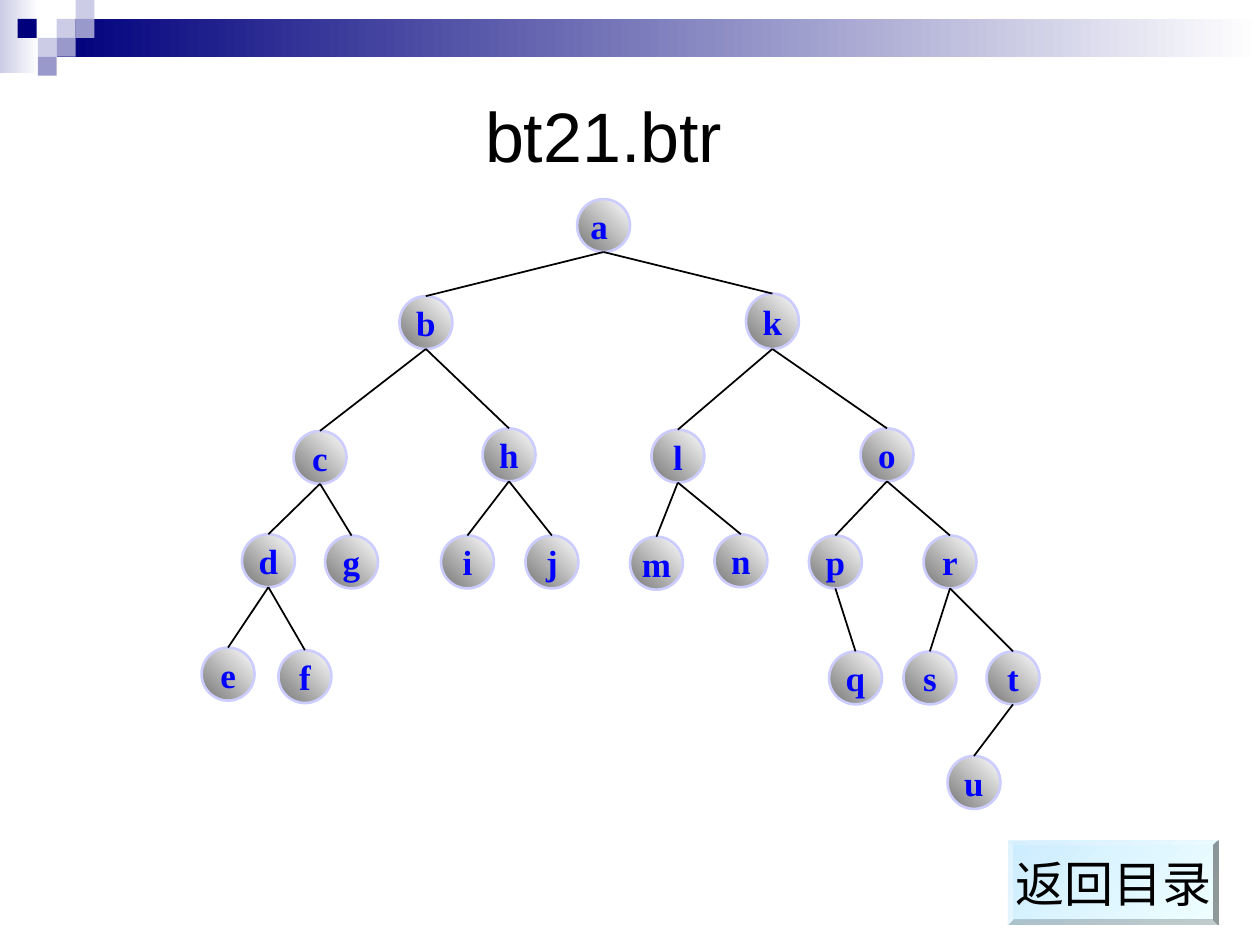
from dataclasses import dataclass

from lxml.etree import SubElement
from pptx import Presentation
from pptx.dml.color import RGBColor
from pptx.enum.shapes import MSO_CONNECTOR, MSO_SHAPE
from pptx.enum.text import MSO_ANCHOR, PP_ALIGN
from pptx.oxml.ns import qn
from pptx.shapes.autoshape import Shape
from pptx.slide import Slide
from pptx.text.text import TextFrame
from pptx.util import Inches, Pt

NODE_SIZE = 0.42
TILE_SIZE = 0.15
NAVY, LAVENDER, PERIWINKLE = "00007D", "CCCCE6", "9999CC"


@dataclass(frozen=True)
class Tile:
    left: float
    top: float
    color: str


@dataclass(frozen=True)
class Node:
    label: str
    left: float
    top: float
    parent: str = ""
    height: float = NODE_SIZE

    @property
    def center(self) -> float:
        return self.left + NODE_SIZE / 2

    @property
    def bottom(self) -> float:
        return self.top + self.height


TILES = [
    Tile(0.45, 0.15, LAVENDER),
    Tile(0.6, 0, LAVENDER),
    Tile(0.6, 0.15, PERIWINKLE),
    Tile(0.3, 0.3, LAVENDER),
    Tile(0.14, 0.15, NAVY),
    Tile(0.45, 0.3, PERIWINKLE),
    Tile(0.3, 0.45, PERIWINKLE),
]

NODES = [
    Node("a ", 4.58, 1.58),
    Node("b", 3.17, 2.35, "a "),
    Node("k", 5.92, 2.33, "a ", 0.44),
    Node("c", 2.33, 3.42, "b"),
    Node("h", 3.83, 3.4, "b"),
    Node("l", 5.17, 3.41, "k"),
    Node("o", 6.83, 3.4, "k"),
    Node("d", 1.92, 4.24, "c"),
    Node("g", 2.58, 4.25, "c"),
    Node("i", 3.5, 4.25, "h"),
    Node("j", 4.17, 4.25, "h"),
    Node("m", 5, 4.26, "l"),
    Node("n", 5.67, 4.24, "l"),
    Node("p", 6.42, 4.25, "o"),
    Node("r", 7.33, 4.25, "o"),
    Node("e", 1.6, 5.14, "d"),
    Node("f", 2.21, 5.16, "d"),
    Node("q", 6.58, 5.17, "p"),
    Node("s", 7.17, 5.17, "r"),
    Node("t", 7.83, 5.17, "r"),
    Node("u", 7.52, 6, "t"),
]


def rgb(color: str) -> RGBColor:
    return RGBColor.from_string(color)


def add_box(slide: Slide, kind: MSO_SHAPE, left: float, top: float,
            width: float, height: float) -> Shape:
    box = slide.shapes.add_shape(
        kind, Inches(left), Inches(top), Inches(width), Inches(height))
    box.shadow.inherit = False
    box.line.fill.background()
    return box


def fill_gradient(box: Shape, start: str, end: str, angle: float = 0) -> None:
    box.fill.gradient()
    box.fill.gradient_angle = angle
    for stop, color in zip(box.fill.gradient_stops, (start, end)):
        stop.color.rgb = rgb(color)


def write_text(frame: TextFrame, text: str, font: str, size: float,
               color: str, bold: bool = False, wrap: bool = False) -> None:
    frame.text = text
    frame.word_wrap = wrap
    frame.vertical_anchor = MSO_ANCHOR.MIDDLE
    para = frame.paragraphs[0]
    para.alignment = PP_ALIGN.CENTER
    para.font.name = font
    para.font.size = Pt(size)
    para.font.bold = bold
    para.font.color.rgb = rgb(color)


def add_tile(slide: Slide, tile: Tile) -> None:
    box = add_box(slide, MSO_SHAPE.RECTANGLE, tile.left, tile.top, TILE_SIZE, TILE_SIZE)
    box.fill.solid()
    box.fill.fore_color.rgb = rgb(tile.color)


def add_banner(slide: Slide) -> None:
    edge = add_box(slide, MSO_SHAPE.RECTANGLE, 0, 0, 0.31, 0.58)
    fill_gradient(edge, LAVENDER, "FFFFFF")
    bar = add_box(slide, MSO_SHAPE.RECTANGLE, 0.45, 0.15, 9.55, 0.3)
    fill_gradient(bar, NAVY, "FFFFFF")
    for tile in TILES:
        add_tile(slide, tile)


def add_title(slide: Slide) -> None:
    title = slide.shapes.title
    title.left, title.top = Inches(0.29), Inches(0.61)
    title.width, title.height = Inches(9), Inches(0.92)
    write_text(title.text_frame, "bt21.btr", "Arial", 40, "000000", wrap=True)


def add_return_button(slide: Slide) -> None:
    button = add_box(slide, MSO_SHAPE.BEVEL, 8, 6.67, 1.67, 0.67)
    button.adjustments[0] = 0.06
    fill_gradient(button, "CCECFF", "F0FFFF", 315)
    write_text(button.text_frame, "返回目录", "Arial", 28, "000000")


def add_node(slide: Slide, node: Node) -> None:
    circle = add_box(slide, MSO_SHAPE.OVAL, node.left, node.top, NODE_SIZE, node.height)
    fill_gradient(circle, "767676", "FFFFFF", 45)
    circle.line.color.rgb = rgb("CCCCFF")
    circle.line.width = Pt(1.5)
    write_text(circle.text_frame, node.label, "Times New Roman", 20, "0000FF", bold=True)


def add_edge(slide: Slide, parent: Node, child: Node) -> None:
    edge = slide.shapes.add_connector(
        MSO_CONNECTOR.STRAIGHT, Inches(parent.center), Inches(parent.bottom),
        Inches(child.center), Inches(child.top))
    edge.line.color.rgb = rgb("000000")
    edge.line.width = Pt(1)
    SubElement(edge._element.spPr, qn("a:effectLst"))


def add_tree(slide: Slide) -> None:
    by_label = {node.label: node for node in NODES}
    for node in NODES:
        add_node(slide, node)
    for node in NODES:
        if node.parent:
            add_edge(slide, by_label[node.parent], node)


def main() -> None:
    deck = Presentation()
    deck.slide_width, deck.slide_height = Inches(10), Inches(7.5)
    page = deck.slides.add_slide(deck.slide_layouts[5])
    add_banner(page)
    add_title(page)
    add_return_button(page)
    add_tree(page)
    deck.save("out.pptx")


if __name__ == "__main__":
    main()
